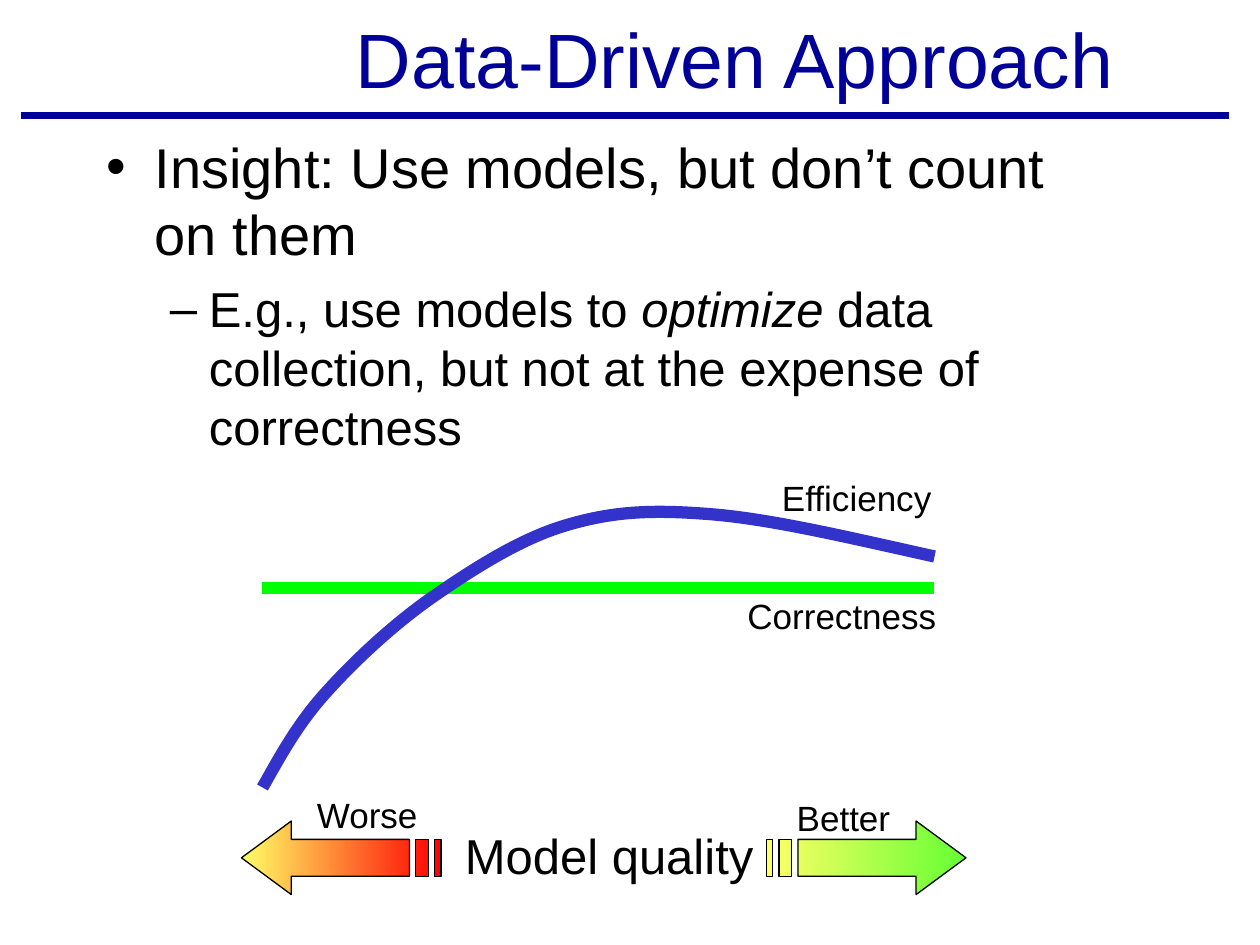
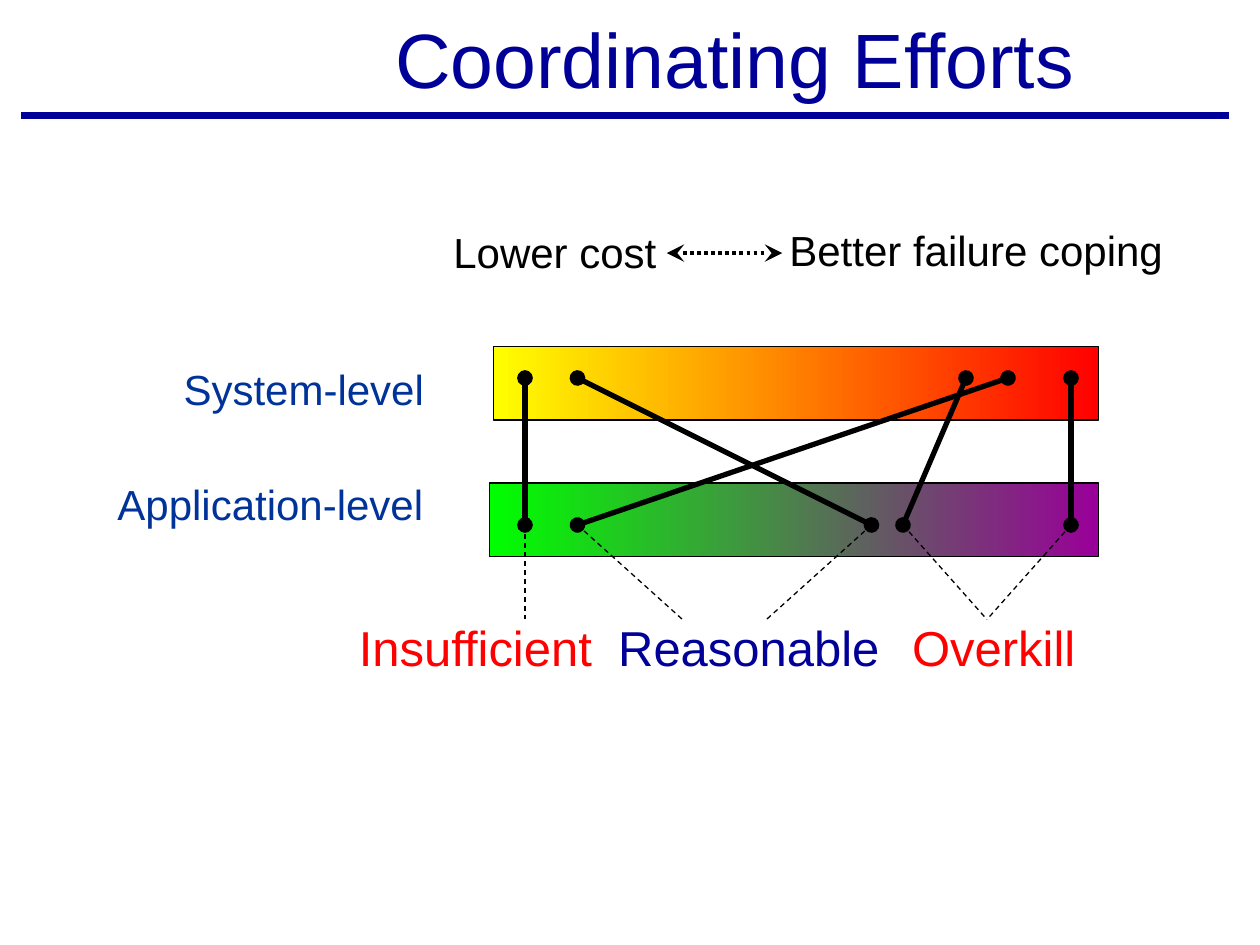
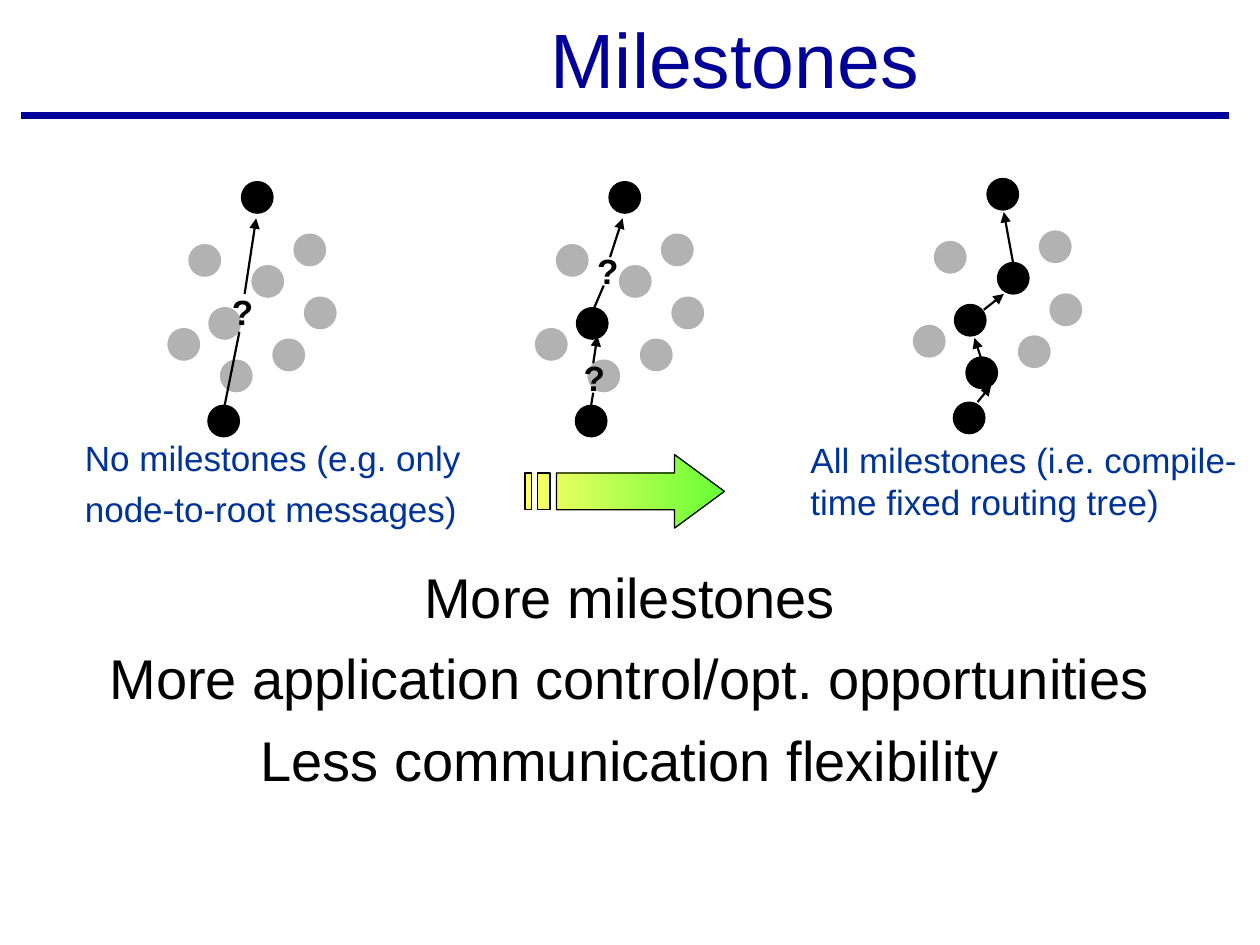
"""Builds three slides on data-driven design, coordination and milestones."""
from lxml.etree import SubElement
from pptx import Presentation
from pptx.dml.color import RGBColor
from pptx.enum.dml import MSO_LINE as Dash
from pptx.enum.shapes import MSO_CONNECTOR as Link, MSO_SHAPE as Preset
from pptx.enum.text import MSO_ANCHOR as Anchor, PP_ALIGN as Align
from pptx.oxml.ns import qn
from pptx.util import Inches, Pt

COLUMNS, ROWS = 120, 90
FONT = "Arial"
NAVY, BLUE, BLACK, GRAY, RED = "000099", "003399", "000000", "B2B2B2", "FF0000"
YELLOW, LIME = "FFFF66", "66FF33"
BULLETS = {32: ("•", 0.38, 0.38), 28: ("–", 0.81, 0.31)}

ARROW_WIDTH = 19
ARROW_PARTS = [
    [(3, 1.75), (14.25, 1.75), (14.25, 0), (19, 3.5), (14.25, 7), (14.25, 5.25), (3, 5.25)],
    [(0, 1.75), (0.6, 1.75), (0.6, 5.25), (0, 5.25)],
    [(1.2, 1.75), (2.4, 1.75), (2.4, 5.25), (1.2, 5.25)],
]
EFFICIENCY_CURVE = [
    (25, 75), (26.7, 72), (28.3, 69), (31, 66), (33.7, 63), (37.2, 59.7), (41, 57),
    (44.9, 54.3), (49.5, 51.3), (54, 50), (58.4, 48.7), (62.1, 48.5), (68, 49),
    (73.8, 49.5), (81.3, 51.3), (89, 53),
]
NODES = [(7, 0), (12, 5), (8, 8), (2, 6), (13, 11), (3.9, 12), (0, 14), (10, 15), (5, 17), (3.8, 21.3)]


def color(value):
    return RGBColor.from_string(value)


class Builder:
    """Holds the style and the current slide, and draws each kind of element."""

    def __init__(self):
        self.deck = Presentation()
        self.deck.slide_width, self.deck.slide_height = Inches(10), Inches(7.5)
        self.column = self.deck.slide_width / COLUMNS
        self.row = self.deck.slide_height / ROWS
        self.shapes = None

    def place(self, x, y):
        return round(x * self.column), round(y * self.row)

    def slide(self, title):
        self.page = self.deck.slides.add_slide(self.deck.slide_layouts[6])
        self.shapes = self.page.shapes
        self.line((2, 11), (117, 11), NAVY, 4.5)
        self.text((29, 1, 82, 9), [[(title, {})]], 44, NAVY, align=Align.CENTER, anchor=Anchor.MIDDLE)

    def text(self, area, paragraphs, sizes, ink=BLACK, align=Align.LEFT, anchor=Anchor.TOP, bullets=False):
        box = self.shapes.add_textbox(*self.place(*area[:2]), *self.place(*area[2:]))
        frame = box.text_frame
        frame.word_wrap = True
        frame.vertical_anchor = anchor
        for number, spans in enumerate(paragraphs):
            size = sizes[number] if isinstance(sizes, list) else sizes
            para = frame.add_paragraph() if number else frame.paragraphs[0]
            para.alignment = align
            if bullets:
                self.bullet(para, *BULLETS[size])
            if number:
                para.space_before = Pt(size // 4)
            for content, extra in spans:
                for part, piece in enumerate(content.split("\n")):
                    if part:
                        para.add_line_break()
                    span = para.add_run()
                    span.text = piece
                    span.font.color.rgb = color(ink)
                    for name, value in {"name": FONT, "size": Pt(size), **extra}.items():
                        setattr(span.font, name, value)

    def bullet(self, para, mark, margin, hanging):
        properties = para._p.get_or_add_pPr()
        properties.set("marL", str(Inches(margin)))
        properties.set("indent", str(-Inches(hanging)))
        SubElement(properties, qn("a:buFont")).set("typeface", FONT)
        SubElement(properties, qn("a:buChar")).set("char", mark)

    def label(self, x, y, width, content, size, ink=BLACK, **extra):
        lines = content.split("\n")
        height = 1.2 + 0.2 * size * len(lines)
        self.text((x, y, width, height), [[(line, extra)] for line in lines], size, ink)

    def line(self, start, end, ink=BLACK, width=0.75, dash=None, head=None, tail=None, tip="med"):
        link = self.shapes.add_connector(Link.STRAIGHT, *self.place(*start), *self.place(*end))
        link.line.color.rgb = color(ink)
        link.line.width = Pt(width)
        if dash:
            link.line.dash_style = dash
        properties = link._element.spPr
        for tag, kind in (("a:headEnd", head), ("a:tailEnd", tail)):
            if kind:
                mark = SubElement(properties.find(qn("a:ln")), qn(tag))
                for name, value in {"type": kind, "w": tip, "len": tip}.items():
                    mark.set(name, value)
        SubElement(properties, qn("a:effectLst"))

    def paint(self, shape, fills, ink=BLACK, width=0.75):
        shape.shadow.inherit = False
        shape.line.color.rgb = color(ink)
        shape.line.width = Pt(width)
        if len(fills) == 2:
            shape.fill.gradient()
            shape.fill.gradient_angle = 0
            for stop, value in zip(shape.fill.gradient_stops, fills):
                stop.color.rgb = color(value)
        elif fills:
            shape.fill.solid()
            shape.fill.fore_color.rgb = color(fills[0])
        else:
            shape.fill.background()

    def preset(self, kind, area, fills, ink=BLACK):
        shape = self.shapes.add_shape(kind, *self.place(*area[:2]), *self.place(*area[2:]))
        self.paint(shape, fills, ink)

    def striped_arrow(self, x, y, fills, mirrored=False):
        outline = None
        for part in ARROW_PARTS:
            points = [self.place(x + (ARROW_WIDTH - across if mirrored else across), y + down)
                      for across, down in part]
            if outline is None:
                outline = self.shapes.build_freeform(*points[0])
            else:
                outline.move_to(*points[0])
            outline.add_line_segments(points[1:], close=True)
        self.paint(outline.convert_to_shape(), fills)

    def curve(self, points, ink, width):
        spots = [self.place(*point) for point in points]
        outline = self.shapes.build_freeform(*spots[0])
        outline.add_line_segments(spots[1:], close=False)
        shape = outline.convert_to_shape()
        self.paint(shape, [], ink, width)
        route = shape._element.find(".//" + qn("a:path"))
        steps = route.findall(qn("a:lnTo"))
        for first in range(0, len(steps), 3):
            bend = SubElement(route, qn("a:cubicBezTo"))
            for step in steps[first:first + 3]:
                bend.append(step[0])
                route.remove(step)

    def network(self, x, y, milestones, strokes, arrows, doubts=()):
        self.shapes = self.page.shapes.add_group_shape().shapes
        for number, (across, down) in enumerate(NODES):
            ink = BLACK if number in milestones else GRAY
            self.preset(Preset.OVAL, (x + across, y + down, 3, 3), [ink], ink)
        for routes, tail in ((strokes, None), (arrows, "triangle")):
            for x1, y1, x2, y2 in routes:
                self.line((x + x1, y + y1), (x + x2, y + y2), width=1.25, tail=tail)
        for across, down in doubts:
            self.label(x + across, y + down, 5, "?", 20, bold=True)
        self.shapes = self.page.shapes


def data_driven(build):
    build.slide("Data-Driven Approach")
    build.text((9, 12, 102, 76), [
        [("Insight: Use models, but don’t count \non them", {})],
        [("E.g., use models to ", {}), ("optimize", {"italic": True}),
         (" data collection, but not at the expense of correctness", {})],
    ], [32, 28], bullets=True)
    build.label(43.1, 78, 31, "Model quality", 28)
    build.striped_arrow(73, 78.2, [YELLOW, LIME])
    build.striped_arrow(23, 78.2, [YELLOW, RED], mirrored=True)
    build.line((25, 56), (89, 56), "00FF00", 7)
    for x, y, width, content in [(74.7, 75.3, 12, "Better"), (29, 75, 13, "Worse"),
                                 (73.3, 44.8, 18, "Efficiency"), (70, 56, 21, "Correctness")]:
        build.label(x, y, width, content, 20)
    build.curve(EFFICIENCY_CURVE, "3333CC", 7)


def coordinating(build):
    build.slide("Coordinating Efforts")
    build.preset(Preset.RECTANGLE, (47, 33, 57.6, 7), ["FFFF00", RED])
    build.preset(Preset.RECTANGLE, (46.6, 46, 58, 7), ["00FF00", "990099"])
    for x, y, width, content, size, ink in [
        (16.3, 34, 27, "System-level", 24, BLUE),
        (10, 45, 33, "Application-level", 24, BLUE),
        (42, 21, 23, "Lower cost", 24, BLACK),
        (74, 20.8, 40, "Better failure coping", 24, BLACK),
        (33, 58.2, 26, "Insufficient", 28, RED),
        (57.7, 58.2, 29, "Reasonable", 28, NAVY),
        (85.7, 58.2, 19, "Overkill", 28, RED),
    ]:
        build.label(x, y, width, content, size, ink)
    build.line((63.5, 24.1), (74.5, 24.1), width=2, dash=Dash.ROUND_DOT,
               head="stealth", tail="stealth", tip="lg")
    for system, application, verdict in [(102, 102, 94), (50, 50, 50), (92, 86, 94),
                                         (96, 55, 65), (55, 83, 73)]:
        build.line((system, 36), (application, 50), width=3, head="oval", tail="oval")
        build.line((application, 50), (verdict, 59), dash=Dash.DASH)


def milestones(build):
    build.slide("Milestones")
    build.label(6.9, 41, 41, "No milestones (e.g. only\nnode-to-root messages)", 20, BLUE)
    build.text((76, 41.2, 44, 9.2), [[("All milestones (i.e. compile-\ntime fixed routing tree)", {})]],
               20, BLUE)
    build.network(16, 17.3, {0, 9}, [(5.4, 21.3, 6.8, 14.3)], [(7.3, 10.7, 8.4, 3.5)], [(4.9, 9.8)])
    build.network(87, 17, {0, 2, 5, 8, 9}, [], [
        (9.5, 8.1, 8.6, 3.2), (6.7, 12.5, 8.6, 11), (6.4, 17, 5.8, 15.2), (6.1, 21.3, 7.4, 19.7)])
    build.network(51, 17.3, {0, 5, 9}, [(5.6, 12, 6.5, 9.9), (5.3, 21.3, 5.5, 20.1)],
                  [(7.1, 7.2, 8.3, 3.5), (5.5, 17.3, 5.9, 14.7)], [(4.7, 5.9), (3.4, 16.1)])
    build.striped_arrow(50, 43.3, [YELLOW, LIME])
    build.text((9, 53, 102, 35), [[(content, {})] for content in (
        "More milestones", "More application control/opt. opportunities", "Less communication flexibility",
    )], 32, align=Align.CENTER)


def main():
    build = Builder()
    for draw in (data_driven, coordinating, milestones):
        draw(build)
    build.deck.save("out.pptx")


if __name__ == "__main__":
    main()
